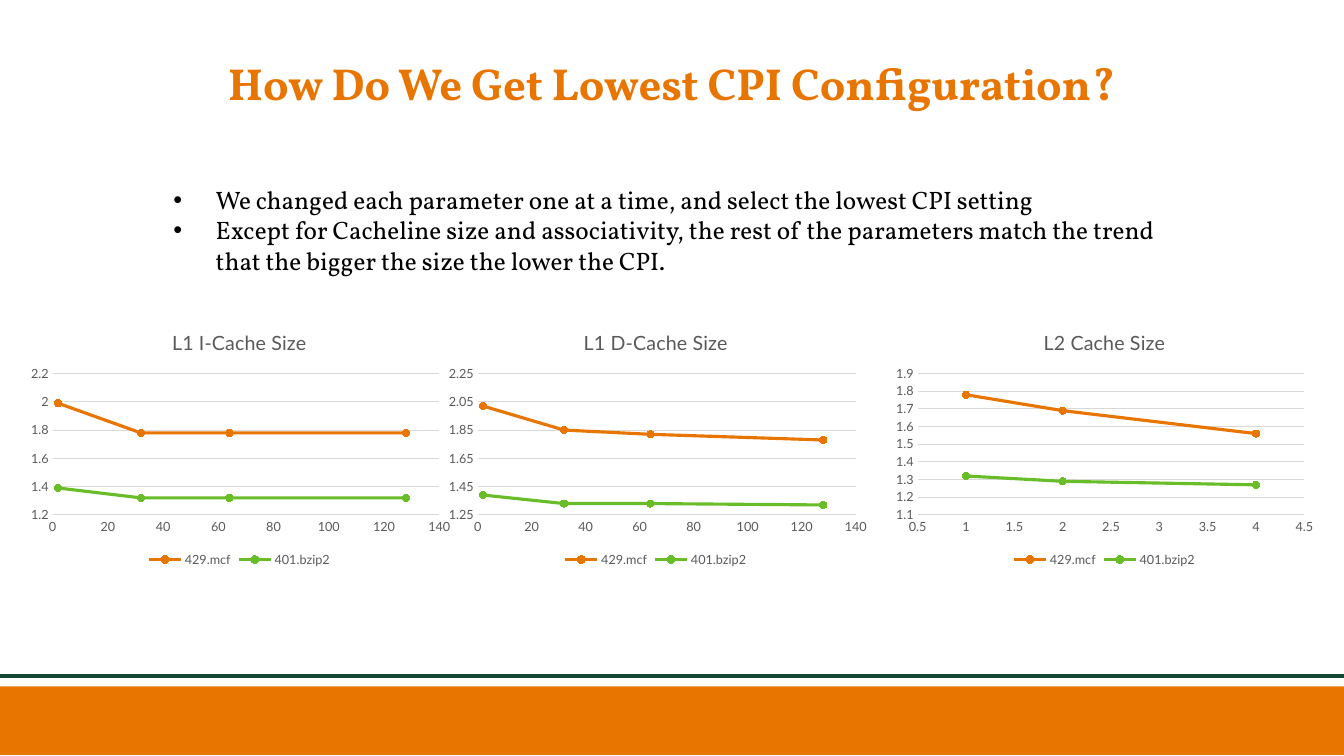
from lxml.etree import SubElement
from pptx import Presentation
from pptx.chart.data import XyChartData
from pptx.dml.color import RGBColor
from pptx.enum.chart import XL_CHART_TYPE as Kind, XL_LEGEND_POSITION as Spot
from pptx.enum.chart import XL_MARKER_STYLE as Mark, XL_TICK_MARK as Tick
from pptx.enum.shapes import MSO_CONNECTOR as Link, MSO_SHAPE as Form
from pptx.enum.text import MSO_ANCHOR as Anchor, PP_ALIGN as Align
from pptx.oxml import parse_xml
from pptx.oxml.ns import nsdecls, qn
from pptx.util import Inches, Pt

WIDE, HIGH = 13.33, 7.5
ORANGE, GREEN, PINE = "E87500", "69BD28", "154734"
BLACK, GRAY, PALE = "000000", "595959", "D9D9D9"
SERIF, SANS = "Vollkorn", "Lato"
TITLE = "How Do We Get Lowest CPI Configuration?"
POINTS = [
    "We changed each parameter one at a time, and select the lowest CPI setting",
    "Except for Cacheline size and associativity, the rest of the parameters "
    "match the trend that the bigger the size the lower the CPI.",
]
SERIES = [("429.mcf", ORANGE), ("401.bzip2", GREEN)]
SIZES = [2, 32, 64, 128]
# title, chart left, plot left share, sizes, CPI rows, x scale, y scale
CHARTS = [
    ("L1 I-Cache Size", 0.22, 0.07, SIZES,
     [[1.99, 1.78, 1.78, 1.78], [1.39, 1.32, 1.32, 1.32]],
     (0, 140, 20), (1.2, 2.2, 0.2)),
    ("L1 D-Cache Size", 4.35, 0.09, SIZES,
     [[2.02, 1.85, 1.82, 1.78], [1.39, 1.33, 1.33, 1.32]],
     (0, 140, 20), (1.25, 2.25, 0.2)),
    ("L2 Cache Size", 8.8, 0.07, [1, 2, 4],
     [[1.78, 1.69, 1.56], [1.32, 1.29, 1.27]],
     (0.5, 4.5, 0.5), (1.1, 1.9, 0.1)),
]


def color(code):
    return RGBColor.from_string(code)


def fill(part, code):
    part.fill.solid()
    part.fill.fore_color.rgb = color(code)


def stroke(line, code, width):
    line.color.rgb = color(code)
    line.width = Pt(width)


def style(font, name, size, code, bold=False):
    font.name, font.size, font.bold = name, Pt(size), bold
    font.color.rgb = color(code)


def box(*area):
    return [Inches(n) for n in area]


def add_text(slide, area, lines, size, code, bold=False):
    frame = slide.shapes.add_textbox(*box(*area)).text_frame
    frame.word_wrap = True
    frame.margin_left = frame.margin_right = 0
    frame.margin_top = frame.margin_bottom = 0
    frame.text = "\n".join(lines)
    for par in frame.paragraphs:
        for run in par.runs:
            style(run.font, SERIF, size, code, bold)
    return frame


def add_bullet(par):
    props = par._p.get_or_add_pPr()
    props.set("marL", str(Inches(0.6)))
    props.set("indent", str(Inches(-0.42)))
    SubElement(props, qn("a:buFont")).set("typeface", "Arial")
    SubElement(props, qn("a:buChar")).set("char", "•")


def add_footer(slide):
    band = slide.shapes.add_shape(Form.RECTANGLE, *box(0, 6.81, WIDE, 0.68))
    band.shadow.inherit = False
    fill(band, ORANGE)
    band.line.fill.background()
    rule = slide.shapes.add_connector(Link.STRAIGHT, *box(0, 6.71, WIDE, 6.71))
    stroke(rule.line, PINE, 3)
    SubElement(rule._element.spPr, qn("a:effectLst"))


def set_axis(axis, scale):
    axis.minimum_scale, axis.maximum_scale, axis.major_unit = scale
    axis.major_tick_mark = axis.minor_tick_mark = Tick.NONE
    style(axis.tick_labels.font, SANS, 9, GRAY)
    axis.tick_labels.number_format = "General"
    axis.tick_labels.number_format_is_linked = False


def place_plot(chart, left):
    """Fix the inner plot area, in shares of the chart's size."""
    spots = {"x": left, "y": 0.23, "w": 0.96 - left, "h": 0.55}
    modes = "".join(f'<c:{k}Mode val="edge"/>' for k in "xy")
    sizes = "".join(f'<c:{k} val="{v:.2f}"/>' for k, v in spots.items())
    plot = chart._chartSpace.chart.plotArea
    for old in plot.findall(qn("c:layout")):
        plot.remove(old)
    plot.insert(0, parse_xml(
        f'<c:layout {nsdecls("c")}><c:manualLayout>'
        f'<c:layoutTarget val="inner"/>{modes}{sizes}'
        '</c:manualLayout></c:layout>'))


def add_curves(slide, title, left, inset, sizes, rows, across, up):
    data = XyChartData()
    for (name, _), row in zip(SERIES, rows):
        curve = data.add_series(name)
        for x, y in zip(sizes, row):
            curve.add_data_point(x, y)
    chart = slide.shapes.add_chart(
        Kind.XY_SCATTER_SMOOTH, *box(left, 3.12, 4.31, 2.55), data).chart
    style(chart.font, SANS, 10, BLACK)

    chart.has_title = True
    chart.chart_title.include_in_layout = False
    frame = chart.chart_title.text_frame
    frame.text = title
    style(frame.paragraphs[0].runs[0].font, SANS, 14, GRAY)

    chart.has_legend = True
    chart.legend.position = Spot.BOTTOM
    chart.legend.include_in_layout = False
    style(chart.legend.font, SANS, 9, GRAY)

    set_axis(chart.category_axis, across)
    chart.category_axis.has_major_gridlines = False
    stroke(chart.category_axis.format.line, PALE, 0.75)
    set_axis(chart.value_axis, up)
    chart.value_axis.has_major_gridlines = True
    stroke(chart.value_axis.major_gridlines.format.line, PALE, 0.75)
    chart.value_axis.format.line.fill.background()
    place_plot(chart, inset)

    chart.plots[0].vary_by_categories = False
    for curve, (_, code) in zip(chart.plots[0].series, SERIES):
        curve.smooth = True
        stroke(curve.format.line, code, 2.25)
        curve.marker.style, curve.marker.size = Mark.CIRCLE, 5
        fill(curve.marker.format, code)
        stroke(curve.marker.format.line, code, 0.75)


def main():
    deck = Presentation()
    deck.slide_width, deck.slide_height = box(WIDE, HIGH)
    slide = deck.slides.add_slide(deck.slide_layouts[6])
    add_footer(slide)

    head = add_text(slide, (1, 0.36, 11.33, 1), [TITLE], 32, ORANGE, True)
    head.vertical_anchor = Anchor.MIDDLE
    head.paragraphs[0].alignment = Align.CENTER
    head.paragraphs[0].line_spacing = 0.85

    body = add_text(slide, (1.54, 1.83, 10.26, 1.51), POINTS, 18, BLACK)
    for par in body.paragraphs:
        add_bullet(par)

    for chart in CHARTS:
        add_curves(slide, *chart)
    deck.save("out.pptx")


if __name__ == "__main__":
    main()
